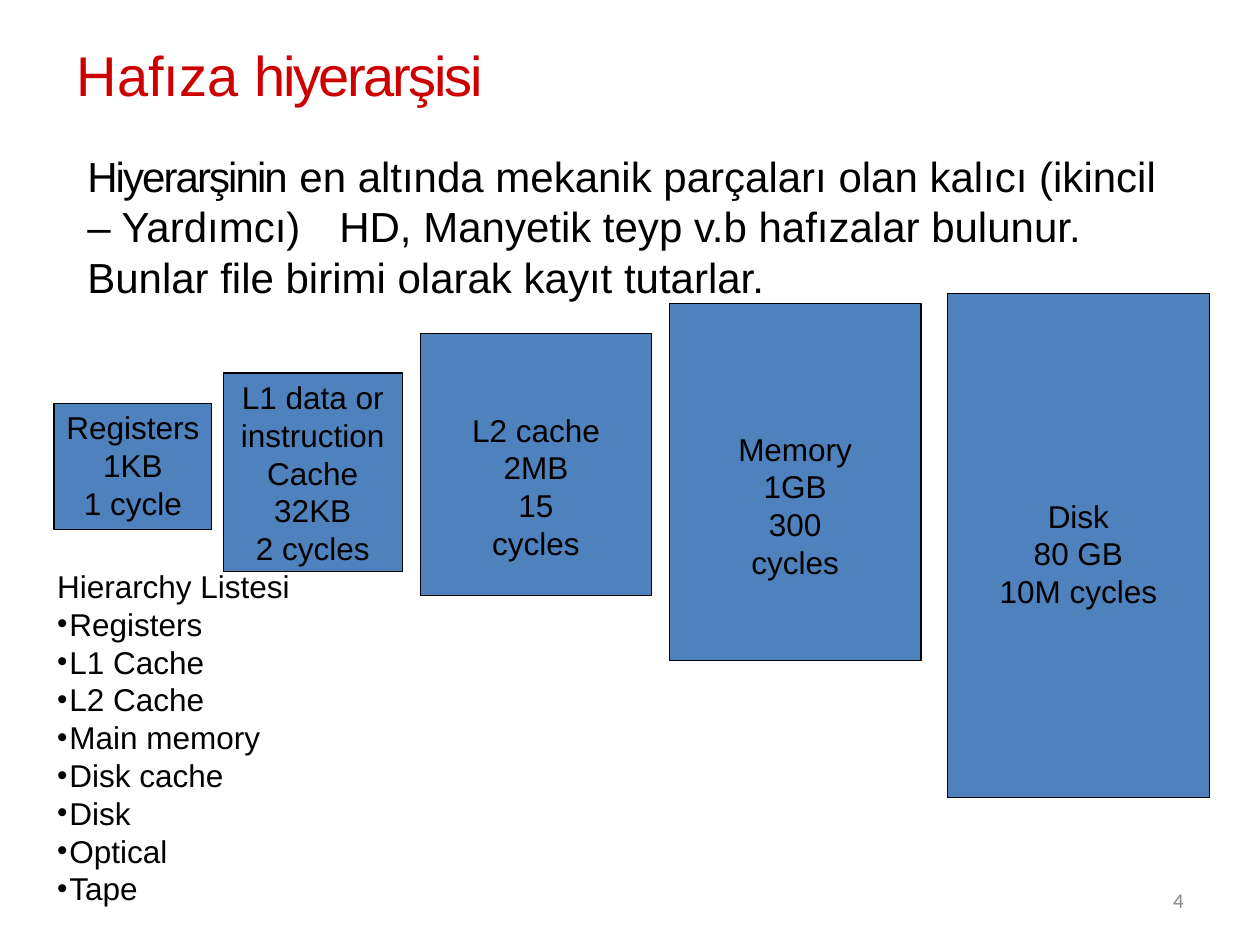
"""Builds the memory hierarchy slide, from registers to disk."""
from dataclasses import dataclass

from lxml import etree
from pptx import Presentation
from pptx.dml.color import RGBColor
from pptx.enum.shapes import MSO_SHAPE
from pptx.enum.text import MSO_ANCHOR, MSO_AUTO_SIZE, PP_ALIGN
from pptx.oxml.ns import qn
from pptx.util import Cm, Pt

RECTANGLE = MSO_SHAPE.RECTANGLE
TOP = MSO_ANCHOR.TOP
NO_FIT = MSO_AUTO_SIZE.NONE
LEFT, CENTER = PP_ALIGN.LEFT, PP_ALIGN.CENTER

COLORS = {"title": "CC0000", "text": "000000", "number": "888888", "box": "4F81BC", "line": "000000"}
LINE_HEIGHT = 1.2
BULLET_INDENT = Cm(0.25)


@dataclass(frozen=True)
class Frame:
    left: float
    top: float
    width: float
    height: float


@dataclass(frozen=True)
class MemoryLevel:
    frame: Frame
    text: str
    text_top: float


TITLE_FRAME = Frame(1.52, 0.79, 9, 1.42)
INTRO_FRAME = Frame(1.73, 3, 22.05, 3.12)
LIST_FRAME = Frame(1.12, 11.4, 4.85, 6.93)
NUMBER_FRAME = Frame(23.62, 17.86, 0.4, 0.58)

MEMORY_LEVELS = [
    MemoryLevel(Frame(1.09, 8.13, 3.18, 2.54), "Registers\v1KB\n1 cycle", 0.1),
    MemoryLevel(Frame(4.5, 7.52, 3.61, 4.01), "L1 data or\vinstruction\vCache\v32KB\n2 cycles", 0.1),
    MemoryLevel(Frame(8.48, 6.73, 4.65, 5.28), "L2 cache\v2MB\n15\vcycles", 1.55),
    MemoryLevel(Frame(13.49, 6.12, 5.08, 7.19), "Memory\v1GB\n300\vcycles", 2.54),
    MemoryLevel(Frame(19.1, 5.92, 5.28, 10.16), "Disk\n80 GB\n10M cycles", 4.09),
]
HIERARCHY = ["Registers", "L1 Cache", "L2 Cache", "Main memory", "Disk cache", "Disk", "Optical", "Tape"]
INTRO = [
    "Hiyerarşinin",
    " en altında mekanik parçaları olan kalıcı (ikincil – Yardımcı)\tHD, Manyetik teyp v.b hafızalar bulunur.",
]
INTRO_END = "Bunlar file birimi olarak kayıt tutarlar."


def place(shape, frame: Frame) -> None:
    shape.left, shape.top = Cm(frame.left), Cm(frame.top)
    shape.width, shape.height = Cm(frame.width), Cm(frame.height)


def format_text(text_frame, size: float, color: str, align=LEFT, font: str = "Arial",
                inset_left: float = 0.03, inset_top: float = 0.03) -> None:
    text_frame.auto_size = NO_FIT
    text_frame.word_wrap = True
    text_frame.vertical_anchor = TOP
    text_frame.margin_left, text_frame.margin_top = Cm(inset_left), Cm(inset_top)
    text_frame.margin_right = text_frame.margin_bottom = 0
    for paragraph in text_frame.paragraphs:
        paragraph.alignment = align
        paragraph.line_spacing = Pt(size * LINE_HEIGHT)
        paragraph.space_before = paragraph.space_after = Pt(0)
        for run in paragraph.runs:
            run.font.name, run.font.size = font, Pt(size)
            run.font.color.rgb = RGBColor.from_string(COLORS[color])


def add_runs(paragraph, texts: list[str]) -> None:
    for text in texts:
        paragraph.add_run().text = text


def tighten(run, points: float) -> None:
    run.font._element.set("spc", str(round(points * 100)))


def set_bullet(paragraph, bulleted: bool) -> None:
    properties = paragraph._p.get_or_add_pPr()
    indent = BULLET_INDENT if bulleted else 0
    properties.set("marL", str(indent))
    properties.set("indent", str(-indent))
    if bulleted:
        etree.SubElement(properties, qn("a:buSzPct")).set("val", "94000")
        etree.SubElement(properties, qn("a:buFont")).set("typeface", "Arial")
        etree.SubElement(properties, qn("a:buChar")).set("char", "•")
    else:
        etree.SubElement(properties, qn("a:buNone"))


def set_tab_stop(paragraph, position: int) -> None:
    tabs = etree.SubElement(paragraph._p.get_or_add_pPr(), qn("a:tabLst"))
    tab = etree.SubElement(tabs, qn("a:tab"))
    tab.set("pos", str(position))
    tab.set("algn", "l")


def fill_title(title) -> None:
    place(title, TITLE_FRAME)
    heading = title.text_frame.paragraphs[0]
    add_runs(heading, ["Hafıza ", "hiyerarşisi"])
    format_text(title.text_frame, 32, "title")
    tighten(heading.runs[1], -1.4)


def fill_intro(intro) -> None:
    place(intro, INTRO_FRAME)
    opening = intro.text_frame.paragraphs[0]
    add_runs(opening, INTRO)
    intro.text_frame.add_paragraph().text = INTRO_END
    format_text(intro.text_frame, 24, "text")
    tighten(opening.runs[0], -1.1)
    for paragraph in intro.text_frame.paragraphs:
        set_bullet(paragraph, False)
    set_tab_stop(opening, Cm(4.8))


def fill_hierarchy(hierarchy) -> None:
    place(hierarchy, LIST_FRAME)
    hierarchy.text_frame.text = "\n".join(["Hierarchy Listesi", *HIERARCHY])
    format_text(hierarchy.text_frame, 18, "text")
    for position, paragraph in enumerate(hierarchy.text_frame.paragraphs):
        set_bullet(paragraph, position > 0)


def add_memory_level(slide, level: MemoryLevel) -> None:
    frame = level.frame
    box = slide.shapes.add_shape(RECTANGLE, Cm(frame.left), Cm(frame.top), Cm(frame.width), Cm(frame.height))
    box.shadow.inherit = False
    box.fill.solid()
    box.fill.fore_color.rgb = RGBColor.from_string(COLORS["box"])
    box.line.color.rgb = RGBColor.from_string(COLORS["line"])
    box.line.width = Pt(0.72)
    box.text_frame.text = level.text
    format_text(box.text_frame, 18, "text", CENTER, inset_left=0, inset_top=level.text_top)


def add_slide_number(slide) -> None:
    frame = NUMBER_FRAME
    number = slide.shapes.add_textbox(Cm(frame.left), Cm(frame.top), Cm(frame.width), Cm(frame.height))
    number.text_frame.text = "4"
    format_text(number.text_frame, 12, "number", font="Calibri")


def main() -> None:
    presentation = Presentation()
    presentation.slide_width, presentation.slide_height = Cm(25.4), Cm(19.05)
    slide = presentation.slides.add_slide(presentation.slide_layouts.get_by_name("Two Content"))
    title, intro, hierarchy = slide.placeholders
    fill_title(title)
    fill_intro(intro)
    fill_hierarchy(hierarchy)
    for level in MEMORY_LEVELS:
        add_memory_level(slide, level)
    add_slide_number(slide)
    presentation.save("out.pptx")


if __name__ == "__main__":
    main()
